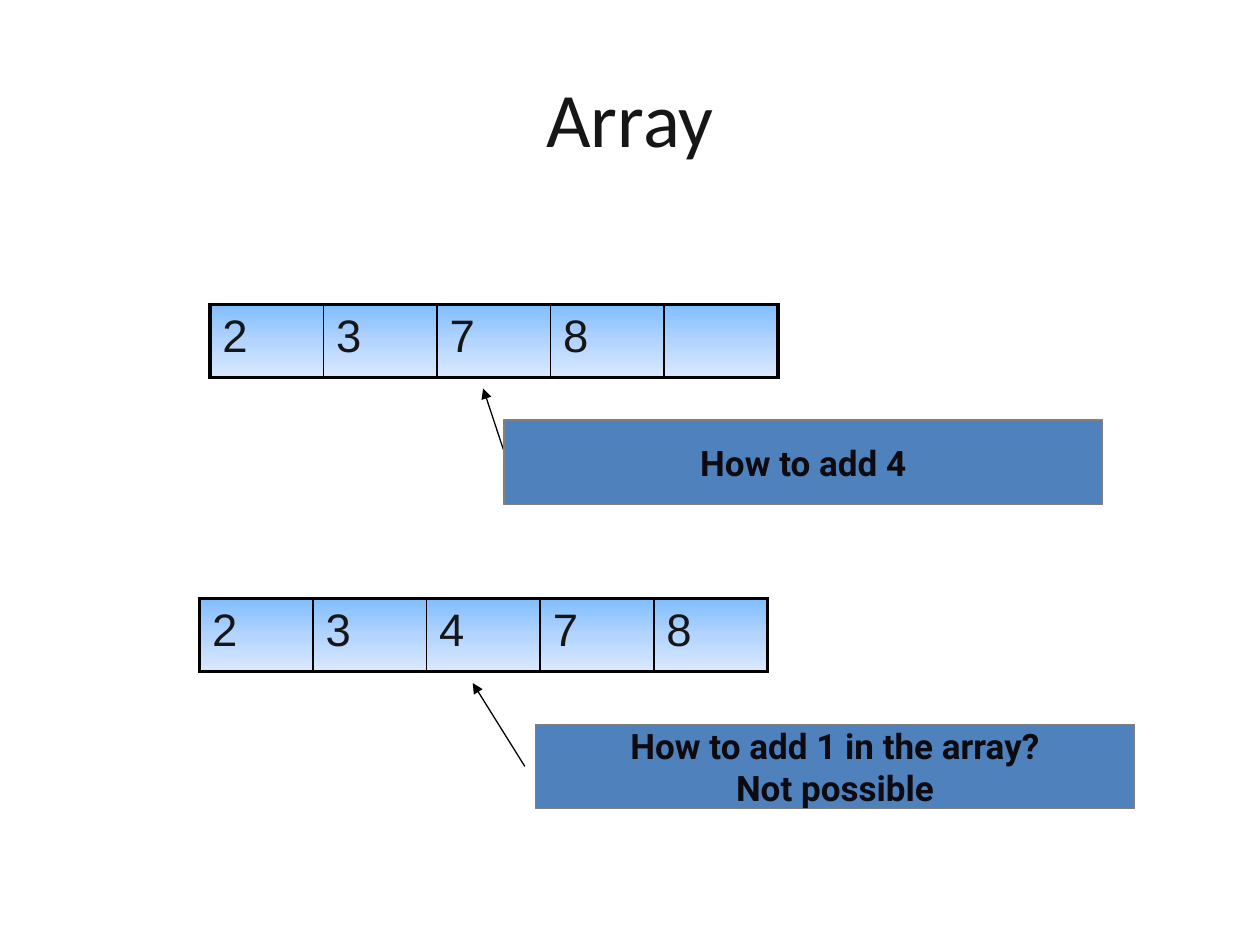
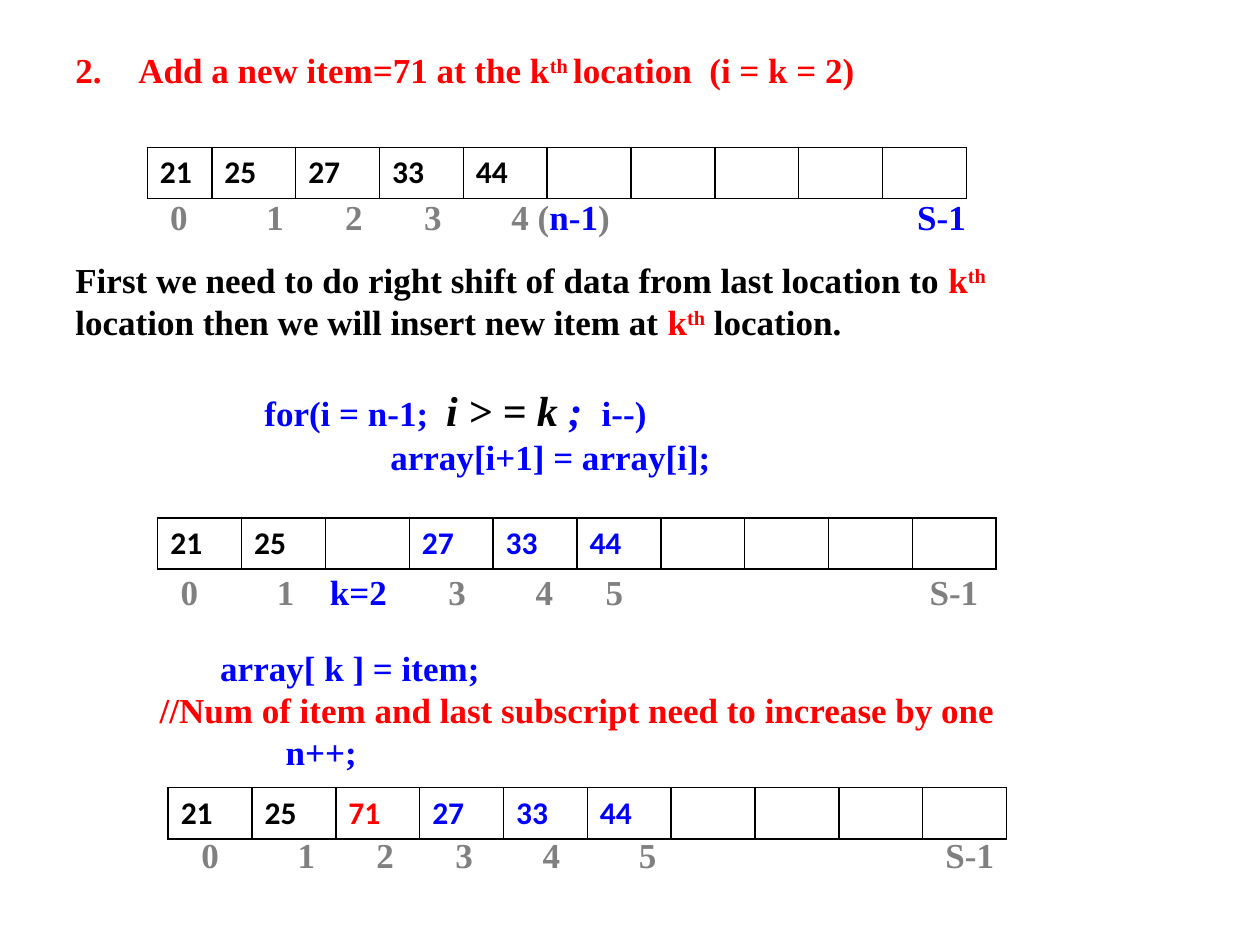
from lxml import etree
from pptx import Presentation
from pptx import util as u
from pptx.dml.color import RGBColor
from pptx.enum import shapes, text
from pptx.oxml import ns, parse_xml

Cm, Pt = u.Cm, u.Pt
INK, BLACK, WHITE = "161616", "000000", "FFFFFF"
RED, BLUE, GREY = "FF0000", "0000FF", "808080"
CELL_GRADIENT = ((0, "80BDFF"), (50, "B3D4FF"), (100, "DAE9FF"))
SERIF = "Times New Roman"


def rgb(value):
    return RGBColor.from_string(value)


def style(font, size=None, name=None, color=None, bold=None, italic=None):
    """Set only the font properties that are given."""
    if size:
        font.size = Pt(size)
    if name:
        font.name = name
    if color:
        font.color.rgb = rgb(color)
    if bold is not None:
        font.bold = bold
    if italic is not None:
        font.italic = italic


def sub(parent, tag, **attrs):
    child = etree.SubElement(parent, ns.qn(tag))
    for key, value in attrs.items():
        child.set(key, str(value))
    return child


def add_textbox(s, x, y, w, h):
    tf = s.shapes.add_textbox(Cm(x), Cm(y), Cm(w), Cm(h)).text_frame
    tf.word_wrap = True
    return tf


def next_paragraph(tf):
    """Return the empty first paragraph, or a new one."""
    first = tf.paragraphs[0]
    return tf.add_paragraph() if first.runs else first


def add_line(tf, runs, indent=0, number=None, gap=0, pitch=24):
    """Add a bold serif line; runs are (text, colour[, extras]) tuples."""
    p = next_paragraph(tf)
    pPr = p._p.get_or_add_pPr()
    pPr.set("marL", str(Cm(indent)))
    pPr.set("indent", str(-Cm(indent) if number else 0))
    if number:
        sub(pPr, "a:buFont", typeface="+mj-lt")
        sub(pPr, "a:buAutoNum", type="arabicPeriod", startAt=number)
    p.line_spacing = Pt(pitch)
    if gap:
        p.space_before = Pt(gap)
    colors = {run[1] for run in runs}
    style(p.font, 20, SERIF, runs[0][1] if len(colors) == 1 else None, True)
    for words, color, *extras in runs:
        r = p.add_run()
        r.text = words
        if len(colors) > 1:
            style(r.font, color=color)
        for extra in extras:
            if extra == "sup":
                r.font._element.set("baseline", "30000")
            else:
                style(r.font, **extra)


def add_title(s, words):
    tf = add_textbox(s, 1.27, 0.76, 22.86, 3.18)
    tf.vertical_anchor = text.MSO_ANCHOR.MIDDLE
    p = tf.paragraphs[0]
    p.text = words
    p.alignment = text.PP_ALIGN.CENTER
    style(p.font, 44, "Calibri", INK)


def fill_gradient(cell):
    stops = "".join(f'<a:gs pos="{pos * 1000}"><a:srgbClr val="{color}"/></a:gs>'
                    for pos, color in CELL_GRADIENT)
    cell._tc.get_or_add_tcPr().append(parse_xml(
        f'<a:gradFill {ns.nsdecls("a")}><a:gsLst>{stops}</a:gsLst>'
        '<a:lin ang="5400000" scaled="0"/></a:gradFill>'))


def fill_white(cell):
    cell.fill.solid()
    cell.fill.fore_color.rgb = rgb(WHITE)


def set_borders(cell, left, right, top, bottom):
    """Give each side a black line of the given width in points."""
    tcPr = cell._tc.get_or_add_tcPr()
    for i, (side, width) in enumerate(zip("LRTB", (left, right, top, bottom))):
        tcPr.insert(i, parse_xml(
            f'<a:ln{side} {ns.nsdecls("a")} w="{Pt(width)}"><a:solidFill>'
            f'<a:srgbClr val="{BLACK}"/></a:solidFill></a:ln{side}>'))


def add_array(s, x, y, items, widths, height, fill, font, edge=1, colors=None):
    """Draw an array as a one-row table; colors maps an index to its colour."""
    frame = s.shapes.add_table(1, len(widths), Cm(x), Cm(y), Cm(sum(widths)), Cm(height))
    table = frame.table
    table.first_row = table.horz_banding = False
    table.rows[0].height = Cm(height)
    last = len(widths) - 1
    for i, width in enumerate(widths):
        table.columns[i].width = Cm(width)
        cell = table.cell(0, i)
        fill(cell)
        set_borders(cell, edge if i == 0 else 1, edge if i == last else 1, edge, edge)
        p = cell.text_frame.paragraphs[0]
        if i < len(items):
            p.text = str(items[i])
        style(p.font, **font)
        style(p.font, color=(colors or {}).get(i))


def add_blue_array(s, x, y, items):
    add_array(s, x, y, items, [2.29] * 5, 1.47, fill_gradient,
              dict(size=26, name="Arial", color=INK), edge=2.25)


def add_white_array(s, x, y, items, first=1.69, colors=None):
    add_array(s, x, y, items, [first] + [1.69] * 9, 1.03, fill_white,
              dict(size=18, name="Calibri", color=BLACK, bold=True), colors=colors)


def add_indexes(s, x, y, labels):
    """Place (offset, runs) labels along a row; plain text is drawn grey."""
    for offset, runs in labels:
        if isinstance(runs, str):
            runs = [(runs, GREY)]
        add_line(add_textbox(s, x + offset, y, 2.8, 1.11), runs)


def add_question(s, x, y, lines):
    sp = s.shapes.add_shape(shapes.MSO_SHAPE.RECTANGLE, Cm(x), Cm(y), Cm(12.07), Cm(1.7))
    sp.shadow.inherit = False
    sp.fill.solid()
    sp.fill.fore_color.rgb = rgb("4F81BD")
    sp.line.color.rgb = rgb(GREY)
    sp.line.width = Pt(0.75)
    tf = sp.text_frame
    tf.word_wrap = False
    tf.vertical_anchor = text.MSO_ANCHOR.MIDDLE
    for line in lines:
        p = next_paragraph(tf)
        p.text = line
        p.alignment = text.PP_ALIGN.CENTER
        style(p.font, 20, "Roboto", "0D0A10", True)


def add_arrow(s, x1, y1, x2, y2):
    c = s.shapes.add_connector(shapes.MSO_CONNECTOR.STRAIGHT, Cm(x1), Cm(y1), Cm(x2), Cm(y2))
    c.line.color.rgb = rgb(BLACK)
    c.line.width = Pt(0.75)
    sub(c.line._get_or_add_ln(), "a:tailEnd", type="triangle")
    sub(c._element.spPr, "a:effectLst")


def build_array_slide(s):
    add_title(s, "Array")
    add_blue_array(s, 4.23, 6.14, [2, 3, 7, 8])
    add_arrow(s, 10.16, 9.1, 9.74, 7.83)
    add_question(s, 10.16, 8.47, ["How to add 4"])
    add_blue_array(s, 4.02, 12.07, [2, 3, 4, 7, 8])
    add_question(s, 10.8, 14.6, ["How to add 1 in the array?", "Not possible"])
    add_arrow(s, 10.58, 15.45, 9.53, 13.77)


def build_insert_slide(s):
    add_white_array(s, 3.18, 10.44, [21, 25, "", 27, 33, 44],
                    colors=dict.fromkeys((3, 4, 5), BLUE))
    add_indexes(s, 3.39, 11.38, [
        (0, "0"), (1.94, "1"), (3.01, [("k=2", BLUE)]), (5.4, "3"),
        (7.16, "4"), (8.57, "5"), (15.1, "S-1")])

    add_white_array(s, 3.39, 15.88, [21, 25, 71, 27, 33, 44],
                    colors={2: RED, 3: BLUE, 4: BLUE, 5: BLUE})
    add_indexes(s, 3.81, 16.68, [
        (0, "0"), (1.94, "1"), (3.53, "2"), (5.12, "3"),
        (6.88, "4"), (8.82, "5"), (15, "S-1")])

    tf = add_textbox(s, 2.97, 12.9, 20.12, 3.66)
    add_line(tf, [("array[ k ] = item;", BLUE)], indent=1.22)
    add_line(tf, [("//Num of item and last subscript need to increase by one", RED)])
    add_line(tf, [("n++;", BLUE)], indent=2.54)

    tf = add_textbox(s, 1.27, 0.86, 20.96, 10.69)
    kth = [("k", RED), ("th", RED, "sup")]
    add_line(tf, [("Add a new item=71 at the k", RED), ("th ", RED, "sup"),
                  ("location  (i = k = 2)", RED)], indent=1.27, number=2)
    add_line(tf, [("First we need to do right shift of data from last location to ", BLACK),
                  *kth, (" location then we will insert new item at ", BLACK),
                  *kth, (" location.", BLACK)], gap=96)
    big = dict(size=24, italic=True)
    add_line(tf, [("for(i = n-1;  ", BLUE), ("i > = k", BLACK, big),
                  (" ; ", BLUE, big), (" i--)", BLUE)], indent=3.81, gap=24, pitch=28.8)
    add_line(tf, [("array[i+1] = array[i];", BLUE)], indent=6.35)

    add_white_array(s, 2.97, 2.97, [21, 25, 27, 33, 44], first=1.3)
    add_indexes(s, 3.18, 3.81, [
        (0, "0"), (1.94, "1"), (3.53, "2"), (5.12, "3"),
        (6.88, [("4 (", GREY), ("n-1", BLUE), (")", GREY)]),
        (15.06, [("S-1", BLUE)])])


def main():
    prs = Presentation()
    prs.slide_width, prs.slide_height = Cm(25.4), Cm(19.05)
    for build in (build_array_slide, build_insert_slide):
        build(prs.slides.add_slide(prs.slide_layouts[6]))
    prs.save("out.pptx")


if __name__ == "__main__":
    main()
